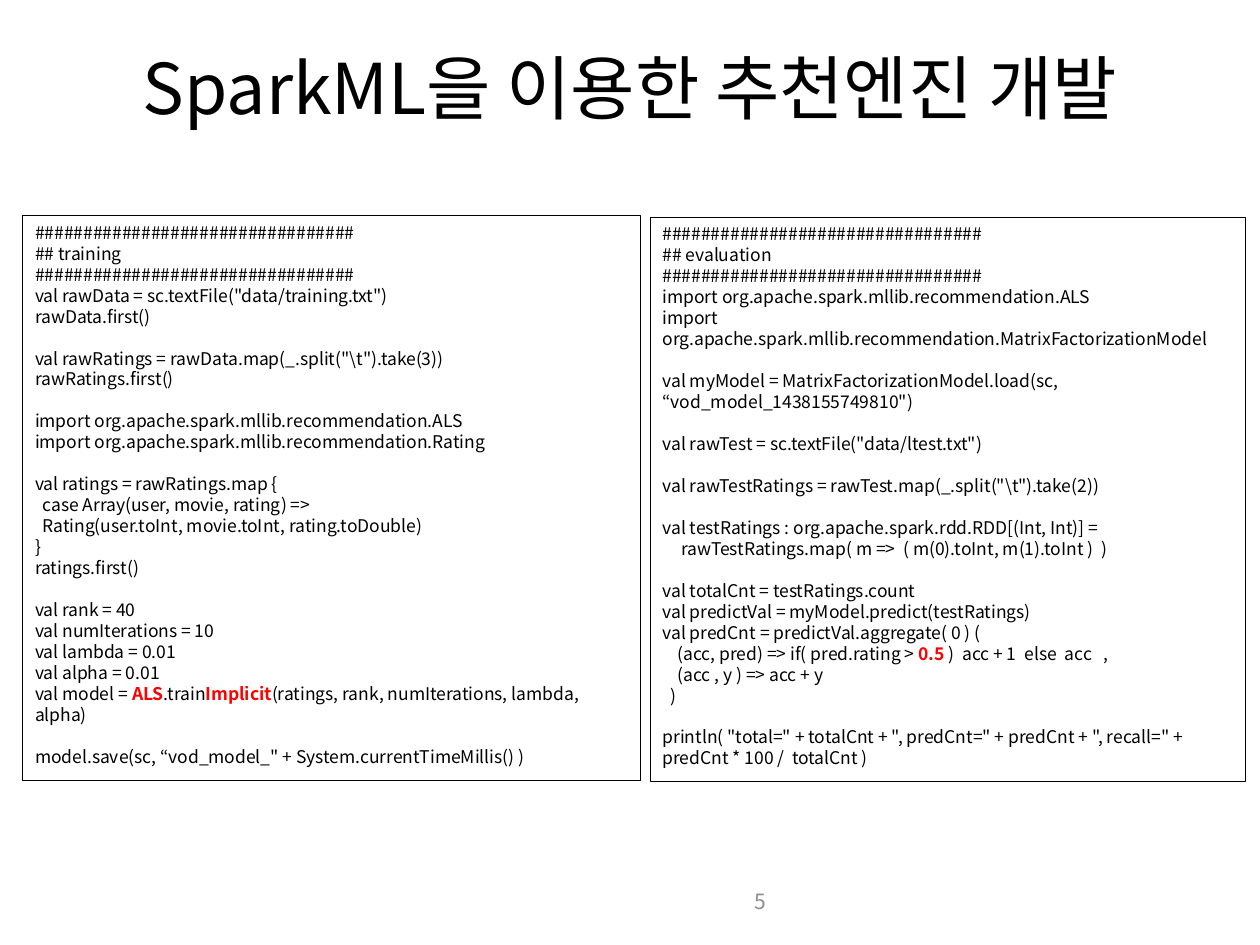
from dataclasses import dataclass

from lxml.etree import SubElement
from pptx import Presentation
from pptx.dml.color import RGBColor
from pptx.enum.shapes import MSO_SHAPE
from pptx.enum.text import MSO_ANCHOR, MSO_AUTO_SIZE, PP_ALIGN
from pptx.oxml.ns import qn
from pptx.slide import Slide
from pptx.text.text import TextFrame, _Paragraph
from pptx.util import Inches, Pt

FONT = "Noto Sans CJK KR"
COLORS = {"text": "000000", "highlight": "FF0000", "number": "8C8C8C"}
RULE = "#" * 33
SPACE_WIDTH = 0.03  # indent in inches for each leading space of code
LINE_PITCH = Pt(12)


@dataclass
class CodePanel:
    left: float
    top: float
    width: float
    height: float
    heading: str
    code: str  # a blank line starts a new block, ** surrounds highlights


PANELS = [
    CodePanel(0.18, 1.71, 4.9, 4.48, "## training", r'''val rawData = sc.textFile("data/training.txt")
rawData.first()

val rawRatings = rawData.map(_.split("\t").take(3))
rawRatings.first()

import org.apache.spark.mllib.recommendation.ALS
import org.apache.spark.mllib.recommendation.Rating

val ratings = rawRatings.map {
  case Array(user, movie, rating) =>
  Rating(user.toInt, movie.toInt, rating.toDouble)
}
ratings.first()

val rank = 40
val numIterations = 10
val lambda = 0.01
val alpha = 0.01
val model = **ALS**.train**Implicit**(ratings, rank, numIterations, lambda, alpha)

model.save(sc, “vod_model_" + System.currentTimeMillis() )'''),
    CodePanel(5.16, 1.72, 4.72, 4.48, "## evaluation", r'''import org.apache.spark.mllib.recommendation.ALS
import org.apache.spark.mllib.recommendation.MatrixFactorizationModel

val myModel = MatrixFactorizationModel.load(sc, “vod_model_1438155749810")

val rawTest = sc.textFile("data/ltest.txt")

val rawTestRatings = rawTest.map(_.split("\t").take(2))

val testRatings : org.apache.spark.rdd.RDD[(Int, Int)] =
     rawTestRatings.map( m =>  ( m(0).toInt, m(1).toInt )  )

val totalCnt = testRatings.count
val predictVal = myModel.predict(testRatings)
val predCnt = predictVal.aggregate( 0 ) (
    (acc, pred) => if( pred.rating > **0.5** )  acc + 1  else  acc   ,
    (acc , y ) => acc + y
  )

println( "total=" + totalCnt + ", predCnt=" + predCnt + ", recall=" +  predCnt * 100 /  totalCnt )'''),
]


def add_run(paragraph: _Paragraph, text: str, size: float, color: str, bold: bool = False) -> None:
    run = paragraph.add_run()
    run.text = text
    run.font.size = Pt(size)
    run.font.bold = bold
    run.font.name = FONT
    run.font.color.rgb = RGBColor.from_string(COLORS[color])
    # Korean text takes the East Asian font
    SubElement(run.font._element, qn("a:ea"), typeface=FONT)


def add_code_line(paragraph: _Paragraph, line: str, starts_block: bool) -> None:
    code = line.lstrip()
    paragraph.alignment = PP_ALIGN.LEFT
    paragraph.line_spacing = LINE_PITCH
    paragraph.space_before = LINE_PITCH if starts_block else Pt(0)
    indent = Inches(SPACE_WIDTH * (len(line) - len(code)))
    paragraph._p.get_or_add_pPr().set("marL", str(indent))
    for index, part in enumerate(code.split("**")):
        highlighted = index % 2 == 1
        add_run(paragraph, part, 10, "highlight" if highlighted else "text", highlighted)


def fill_code(frame: TextFrame, panel: CodePanel) -> None:
    listing = "\n".join([RULE, panel.heading, RULE, panel.code])
    paragraph = frame.paragraphs[0]
    for block_index, block in enumerate(listing.split("\n\n")):
        for line_index, line in enumerate(block.split("\n")):
            if block_index or line_index:
                paragraph = frame.add_paragraph()
            add_code_line(paragraph, line, block_index > 0 and line_index == 0)


def add_code_panel(slide: Slide, panel: CodePanel) -> None:
    shape = slide.shapes.add_shape(
        MSO_SHAPE.RECTANGLE,
        Inches(panel.left), Inches(panel.top), Inches(panel.width), Inches(panel.height),
    )
    shape.shadow.inherit = False
    shape.fill.background()
    shape.line.color.rgb = RGBColor.from_string(COLORS["text"])
    shape.line.width = Pt(0.25)
    frame = shape.text_frame
    frame.word_wrap = True
    frame.vertical_anchor = MSO_ANCHOR.TOP
    fill_code(frame, panel)


def add_title(slide: Slide) -> None:
    title = slide.shapes.title
    title.left, title.top = Inches(0.5), Inches(0.3)
    title.width, title.height = Inches(9), Inches(1.25)
    frame = title.text_frame
    frame.auto_size = MSO_AUTO_SIZE.NONE
    frame.vertical_anchor = MSO_ANCHOR.TOP
    frame.paragraphs[0].alignment = PP_ALIGN.CENTER
    add_run(frame.paragraphs[0], "SparkML을 이용한 추천엔진 개발", 40, "text")


def add_slide_number(slide: Slide) -> None:
    box = slide.shapes.add_textbox(Inches(3.85), Inches(6.95), Inches(2.33), Inches(0.4))
    frame = box.text_frame
    frame.word_wrap = True
    frame.vertical_anchor = MSO_ANCHOR.MIDDLE
    frame.paragraphs[0].alignment = PP_ALIGN.RIGHT
    add_run(frame.paragraphs[0], "5", 12, "number")


def main() -> None:
    presentation = Presentation()
    presentation.slide_width, presentation.slide_height = Inches(10), Inches(7.5)
    slide = presentation.slides.add_slide(presentation.slide_layouts[5])

    add_title(slide)
    for panel in PANELS:
        add_code_panel(slide, panel)
    add_slide_number(slide)

    presentation.save("out.pptx")


if __name__ == "__main__":
    main()
